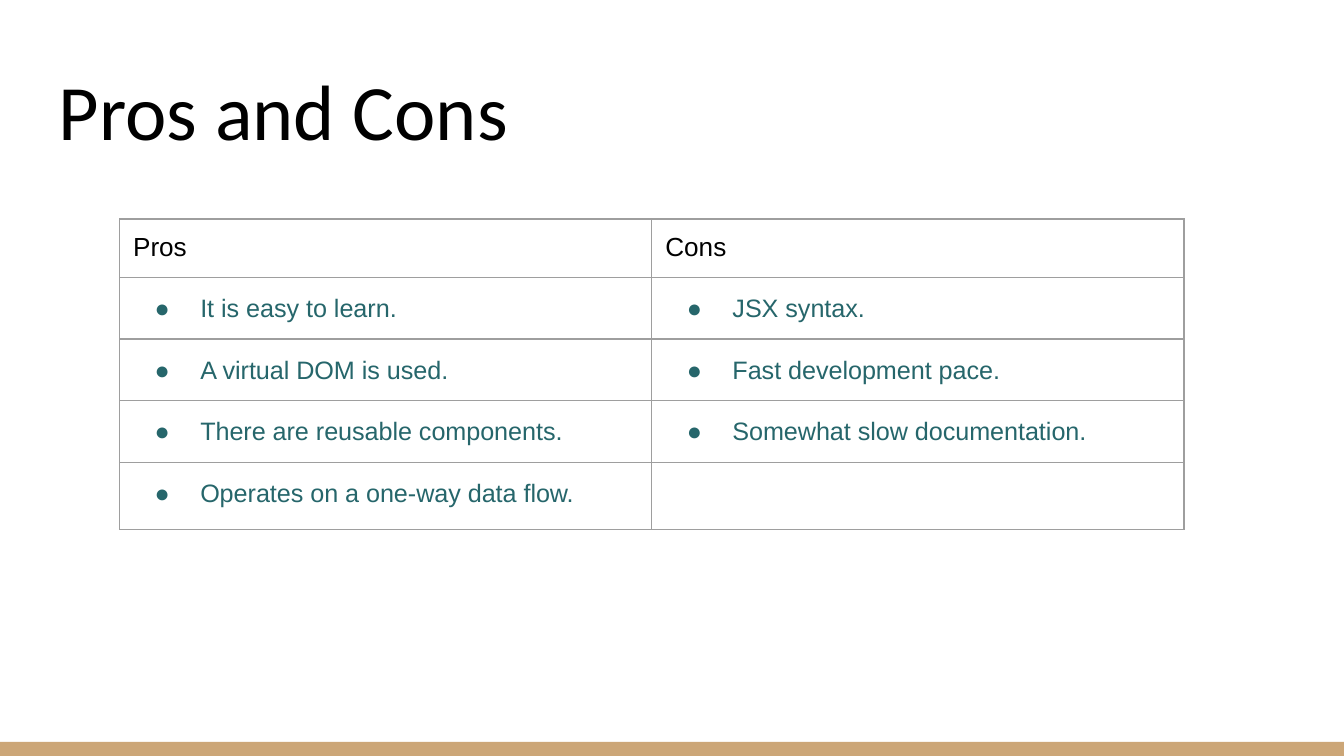
import pptx
import pptx.util
import pptx.dml.color
import pptx.enum.shapes
import pptx.enum.text
import pptx.oxml.ns
from lxml import etree
from pptx.util import Inches

COLORS = {"text": "000000", "teal": "26666B", "band": "CCA677", "grid": "9E9E9E"}
ROWS = [
    ("Pros", "Cons"),
    ("It is easy to learn.", "JSX syntax."),
    ("A virtual DOM is used.", "Fast development pace."),
    ("There are reusable components.", "Somewhat slow documentation."),
    ("Operates on a one-way data flow.", ""),
]
WIDTH, HEIGHT = 3.96, 0.42


def color(name):
    return pptx.dml.color.RGBColor.from_string(COLORS[name])


def add_node(parent, tag, **attrs):
    return etree.SubElement(parent, pptx.oxml.ns.qn(tag), **attrs)


def set_font(para, face, size, name):
    para.font.name = face
    para.font.size = pptx.util.Pt(size)
    para.font.color.rgb = color(name)


def add_band(slide):
    band = slide.shapes.add_shape(
        pptx.enum.shapes.MSO_SHAPE.RECTANGLE,
        Inches(0), Inches(5.52), Inches(10), Inches(0.11))
    band.shadow.inherit = False
    band.fill.solid()
    band.fill.fore_color.rgb = color("band")
    band.line.fill.background()


def add_title(slide, text):
    title = slide.shapes.title
    title.left, title.top = Inches(0.34), Inches(0.35)
    title.width, title.height = Inches(9.32), Inches(0.91)
    frame = title.text_frame
    frame.word_wrap = True
    frame.vertical_anchor = pptx.enum.text.MSO_ANCHOR.BOTTOM
    frame.margin_left = frame.margin_right = Inches(0.1)
    frame.margin_top = frame.margin_bottom = Inches(0.1)
    frame.text = text
    para = frame.paragraphs[0]
    para.alignment = pptx.enum.text.PP_ALIGN.LEFT
    set_font(para, "Calibri", 42, "text")


def add_heading(slide, text):
    box = slide.shapes.add_textbox(Inches(0.34), Inches(0.35), Inches(9.32), Inches(0.91))
    frame = box.text_frame
    frame.word_wrap = True
    frame.vertical_anchor = pptx.enum.text.MSO_ANCHOR.BOTTOM
    frame.margin_left = frame.margin_right = Inches(0.1)
    frame.margin_top = frame.margin_bottom = Inches(0.1)
    frame.text = text
    set_font(frame.paragraphs[0], "Calibri", 42, "text")


def set_bullet(para):
    """Add spacing, a hanging indent and a teal bullet; call before set_font."""
    para.line_spacing = 1.15
    para.space_before = pptx.util.Pt(14)
    props = para._p.get_or_add_pPr()
    props.set("marL", str(Inches(0.5)))
    props.set("indent", str(Inches(-0.34)))
    add_node(add_node(props, "a:buClr"), "a:srgbClr", val=COLORS["teal"])
    add_node(props, "a:buFont", typeface="Arial")
    add_node(props, "a:buChar", char="●")


def set_border(cell):
    props = cell._tc.get_or_add_tcPr()
    for side in "LRTB":
        line = add_node(props, f"a:ln{side}", w=str(pptx.util.Pt(0.75)))
        add_node(add_node(line, "a:solidFill"), "a:srgbClr", val=COLORS["grid"])


def fill_cell(cell, text, head):
    cell.margin_left = cell.margin_right = Inches(0.1)
    cell.margin_top = cell.margin_bottom = Inches(0.1)
    set_border(cell)
    cell.fill.background()
    cell.text = text
    para = cell.text_frame.paragraphs[0]
    if head:
        set_font(para, "Arial", 14, "text")
    elif text:
        set_bullet(para)
        set_font(para, "Arial", 13.5, "teal")
    else:
        set_font(para, "Arial", 18, "text")


def add_grid(slide):
    count, cols = len(ROWS), len(ROWS[0])
    table = slide.shapes.add_table(
        count, cols, Inches(0.89), Inches(1.63),
        Inches(WIDTH * cols), Inches(HEIGHT * count)).table
    table.first_row = table.horz_banding = False
    for col in table.columns:
        col.width = Inches(WIDTH)
    for i, texts in enumerate(ROWS):
        table.rows[i].height = Inches(HEIGHT)
        for j, text in enumerate(texts):
            fill_cell(table.cell(i, j), text, head=i == 0)


def main():
    deck = pptx.Presentation()
    deck.slide_width = Inches(10)
    deck.slide_height = deck.slide_width * 9 // 16
    slide = deck.slides.add_slide(deck.slide_layouts[6])
    add_band(slide)
    add_heading(slide, "Pros and Cons")
    add_grid(slide)
    deck.save("out.pptx")


if __name__ == "__main__":
    main()
